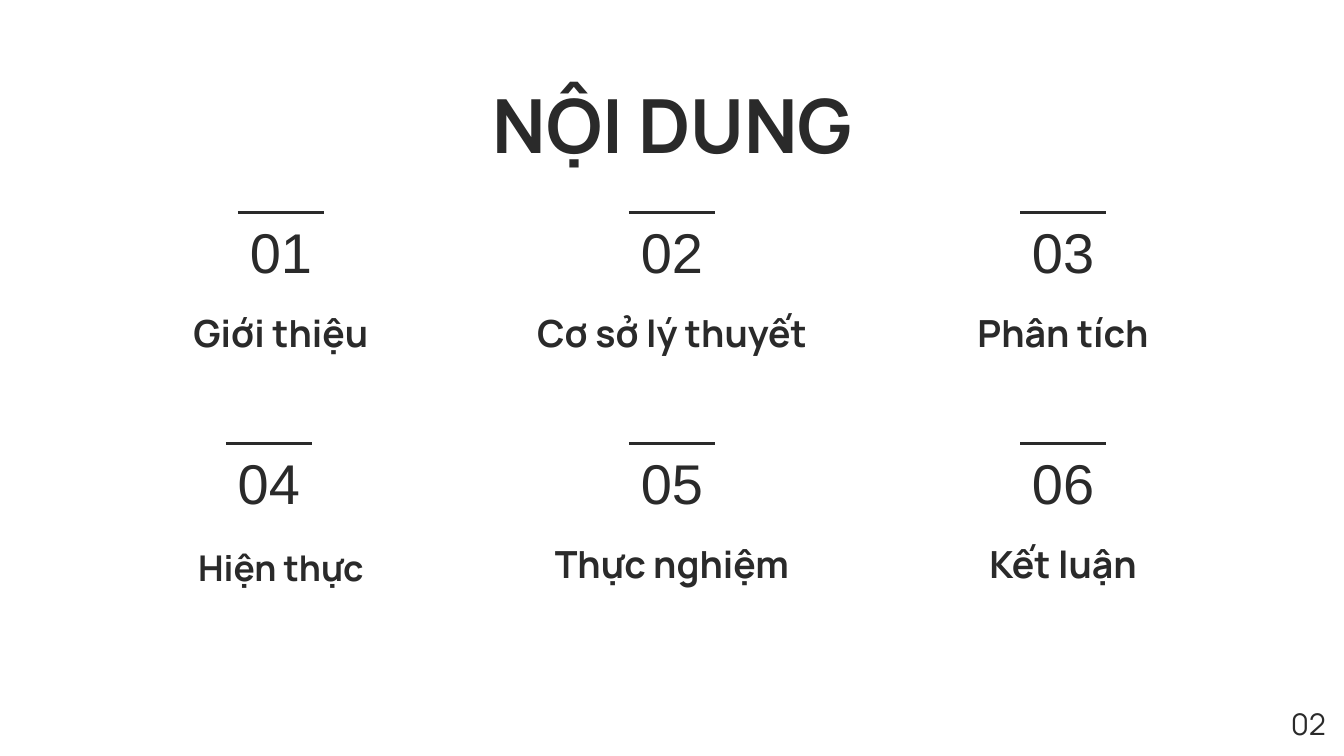
from dataclasses import dataclass

from lxml.etree import SubElement
from pptx import Presentation
from pptx.dml.color import RGBColor
from pptx.enum.shapes import MSO_CONNECTOR
from pptx.enum.text import MSO_ANCHOR, PP_ALIGN
from pptx.oxml.ns import qn
from pptx.slide import Slide
from pptx.util import Inches, Pt


@dataclass(frozen=True)
class Theme:
    ink: RGBColor = RGBColor(0x2A, 0x2A, 0x2A)
    paper: RGBColor = RGBColor(0xFF, 0xFF, 0xFF)
    main: str = "Manrope"
    digit: str = "Arial"
    title: float = 40
    number: float = 30
    label: float = 20
    small: float = 19
    page: float = 16
    rule: float = 1.5


@dataclass(frozen=True)
class Grid:
    left: float = 2.09
    top: float = 1.58
    across: float = 2.91
    down: float = 1.72
    count: int = 3


@dataclass(frozen=True)
class Box:
    left: float
    top: float
    width: float
    height: float


@dataclass(frozen=True)
class Topic:
    name: str
    size: float = Theme.label
    shift: float = 0


THEME = Theme()
GRID = Grid()
WIDE = 10
TOPICS = (
    Topic("Giới thiệu"),
    Topic("Cơ sở lý thuyết"),
    Topic("Phân tích"),
    Topic("Hiện thực", size=THEME.small, shift=-0.09),
    Topic("Thực nghiệm"),
    Topic("Kết luận"),
)


def write(slide: Slide, box: Box, text: str, size: float, font: str = THEME.main,
          bold: bool = False, anchor: MSO_ANCHOR = MSO_ANCHOR.TOP, base: float = 0.1) -> None:
    """Place one centred line of text, raised by base from the foot of its box."""
    shape = slide.shapes.add_textbox(
        Inches(box.left), Inches(box.top), Inches(box.width), Inches(box.height))
    frame = shape.text_frame
    frame.text = text
    frame.word_wrap = True
    frame.vertical_anchor = anchor
    frame.margin_left = frame.margin_right = frame.margin_top = Inches(0.1)
    frame.margin_bottom = Inches(base)
    line = frame.paragraphs[0]
    line.alignment = PP_ALIGN.CENTER
    face = line.runs[0].font
    face.name, face.size, face.bold = font, Pt(size), bold
    face.color.rgb = THEME.ink


def rule(slide: Slide, mid: float, top: float, width: float = 0.64) -> None:
    """Draw a short level line centred on mid."""
    line = slide.shapes.add_connector(
        MSO_CONNECTOR.STRAIGHT, Inches(mid - width / 2), Inches(top),
        Inches(mid + width / 2), Inches(top))
    line.line.color.rgb = THEME.ink
    line.line.width = Pt(THEME.rule)
    SubElement(line._element.spPr, qn("a:effectLst"))


def entry(slide: Slide, index: int, topic: Topic) -> None:
    """Draw the rule, number and label of one topic in its grid cell."""
    row, col = divmod(index, GRID.count)
    mid = GRID.left + col * GRID.across
    top = GRID.top + row * GRID.down
    rule(slide, mid + topic.shift, top)
    write(slide, Box(mid + topic.shift - 0.4, top + 0.15, 0.8, 0.49), f"{index + 1:02}",
          THEME.number, THEME.digit, anchor=MSO_ANCHOR.BOTTOM)
    write(slide, Box(mid - 1.26, top + 0.64, 2.52, 0.8), topic.name, topic.size,
          bold=True, anchor=MSO_ANCHOR.BOTTOM, base=0.1 + 1.53 * topic.size / 72)


def main() -> None:
    """Build the contents slide and save it."""
    deck = Presentation()
    deck.slide_width, deck.slide_height = Inches(WIDE), Inches(WIDE * 9 / 16)
    slide = deck.slides.add_slide(deck.slide_layouts[6])
    fill = slide.background.fill
    fill.solid()
    fill.fore_color.rgb = THEME.paper
    write(slide, Box(0.79, 0.49, 8.43, 0.63), "NỘI DUNG", THEME.title, bold=True)
    for index, topic in enumerate(TOPICS):
        entry(slide, index, topic)
    write(slide, Box(9.47, 5.15, 0.53, 0.47), "02", THEME.page)
    deck.save("out.pptx")


if __name__ == "__main__":
    main()
